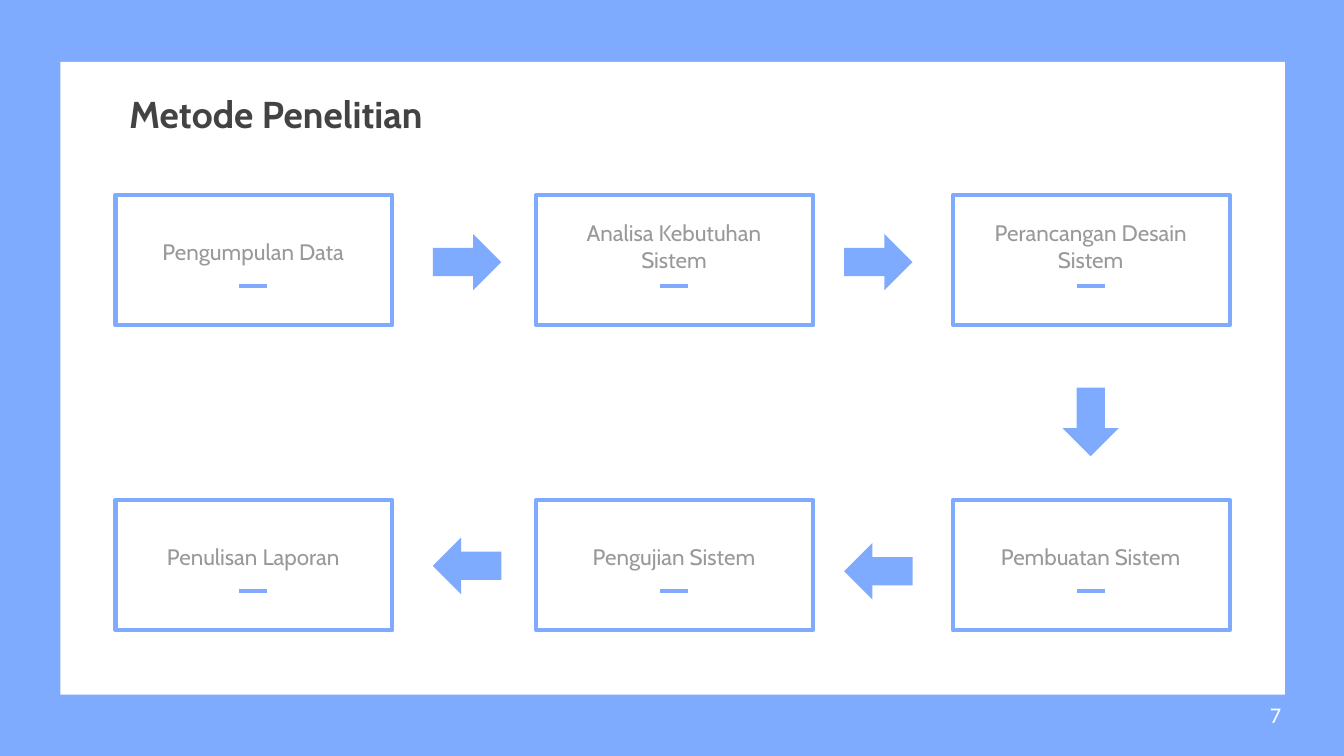
from lxml import etree
from pptx import Presentation
from pptx.dml.color import RGBColor
from pptx.enum.shapes import MSO_CONNECTOR, MSO_SHAPE
from pptx.enum.text import MSO_ANCHOR, PP_ALIGN
from pptx.oxml.ns import qn
from pptx.util import Inches, Pt

RECTANGLE = MSO_SHAPE.RECTANGLE
RIGHT_ARROW = MSO_SHAPE.RIGHT_ARROW
STRAIGHT = MSO_CONNECTOR.STRAIGHT
LEFT, CENTER = PP_ALIGN.LEFT, PP_ALIGN.CENTER
TOP, MIDDLE, BOTTOM = MSO_ANCHOR.TOP, MSO_ANCHOR.MIDDLE, MSO_ANCHOR.BOTTOM

BLUE, WHITE, DARK, GRAY = "7FABFF", "FFFFFF", "434343", "999999"
COLUMNS = (0.86, 3.99, 7.09)
ROWS = (1.45, 3.72)
BOX_WIDTH, BOX_HEIGHT = 2.06, 0.97
STEPS = (
    ("Pengumpulan Data", "Analisa Kebutuhan Sistem", "Perancangan Desain Sistem"),
    ("Penulisan Laporan", "Pengujian Sistem", "Pembuatan Sistem"),
)
TWO_LINE_STEPS = STEPS[0][1:]
ARROWS = (
    (3.22, 1.74, 0),
    (6.28, 1.74, 0),
    (7.86, 2.93, 90),
    (6.28, 4.04, 180),
    (3.22, 4.0, 180),
)


def color(value):
    """Turn a hex string into a colour."""
    return RGBColor.from_string(value)


def add_shape(slide, kind, left, top, width, height, fill=None, line=None):
    """Add a preset shape with an optional fill and outline."""
    shape = slide.shapes.add_shape(
        kind, Inches(left), Inches(top), Inches(width), Inches(height)
    )
    shape.shadow.inherit = False
    if fill:
        shape.fill.solid()
        shape.fill.fore_color.rgb = color(fill)
    else:
        shape.fill.background()
    if line:
        shape.line.color.rgb = color(line)
        shape.line.width = Pt(2.25)
    else:
        shape.line.fill.background()
    return shape


def write_text(shape, text, size, font, text_color, align, anchor, bold=False):
    """Write one formatted paragraph into a shape."""
    frame = shape.text_frame
    frame.word_wrap = True
    frame.vertical_anchor = anchor
    frame.margin_left = frame.margin_right = Inches(0.1)
    frame.margin_top = frame.margin_bottom = Inches(0.1)
    frame.text = text
    paragraph = frame.paragraphs[0]
    paragraph.alignment = align
    paragraph.font.size = Pt(size)
    paragraph.font.name = font
    paragraph.font.bold = bold
    paragraph.font.color.rgb = color(text_color)


def add_text(slide, left, top, width, height, *style):
    """Add a text box with one formatted paragraph."""
    box = slide.shapes.add_textbox(
        Inches(left), Inches(top), Inches(width), Inches(height)
    )
    write_text(box, *style)


def add_dash(slide, left, top):
    """Add the short horizontal line under a step's label."""
    dash = slide.shapes.add_connector(
        STRAIGHT, Inches(left), Inches(top), Inches(left + 0.21), Inches(top)
    )
    dash.line.color.rgb = color(BLUE)
    dash.line.width = Pt(2.25)
    etree.SubElement(dash._element.spPr, qn("a:effectLst"))


def add_step(slide, left, top, label):
    """Add one outlined step with its label and dash."""
    add_shape(slide, RECTANGLE, left, top, BOX_WIDTH, BOX_HEIGHT, line=BLUE)
    label_top = top + (0.08 if label in TWO_LINE_STEPS else 0.22)
    add_text(slide, left + 0.1, label_top, 1.85, 0.31,
             label, 12, "Cabin", GRAY, CENTER, TOP)
    add_dash(slide, left + 0.92, top + 0.68)


def add_title(slide, text):
    """Place and format the slide title."""
    title = slide.shapes.title
    title.left, title.top = Inches(0.86), Inches(0.68)
    title.width, title.height = Inches(8.33), Inches(0.43)
    write_text(title, text, 20, "Cabin", DARK, LEFT, BOTTOM, True)


def main():
    """Build the research method slide."""
    presentation = Presentation()
    presentation.slide_width = Inches(10)
    presentation.slide_height = presentation.slide_width * 9 // 16
    slide = presentation.slides.add_slide(presentation.slide_layouts[5])
    slide.background.fill.solid()
    slide.background.fill.fore_color.rgb = color(BLUE)

    panel = add_shape(slide, RECTANGLE, 0.45, 0.46, 9.11, 4.71, fill=WHITE)
    title = slide.shapes.title
    title._element.addprevious(panel._element)
    add_title(slide, "Metode Penelitian")

    for top, labels in zip(ROWS, STEPS):
        for left, label in zip(COLUMNS, labels):
            add_step(slide, left, top, label)
    for left, top, rotation in ARROWS:
        arrow = add_shape(slide, RIGHT_ARROW, left, top, 0.51, 0.42, fill=BLUE)
        arrow.rotation = rotation

    add_text(slide, 9.35, 5.1, 0.6, 0.43,
             "7", 12, "Calibri", WHITE, LEFT, MIDDLE)
    presentation.save("out.pptx")


if __name__ == "__main__":
    main()
